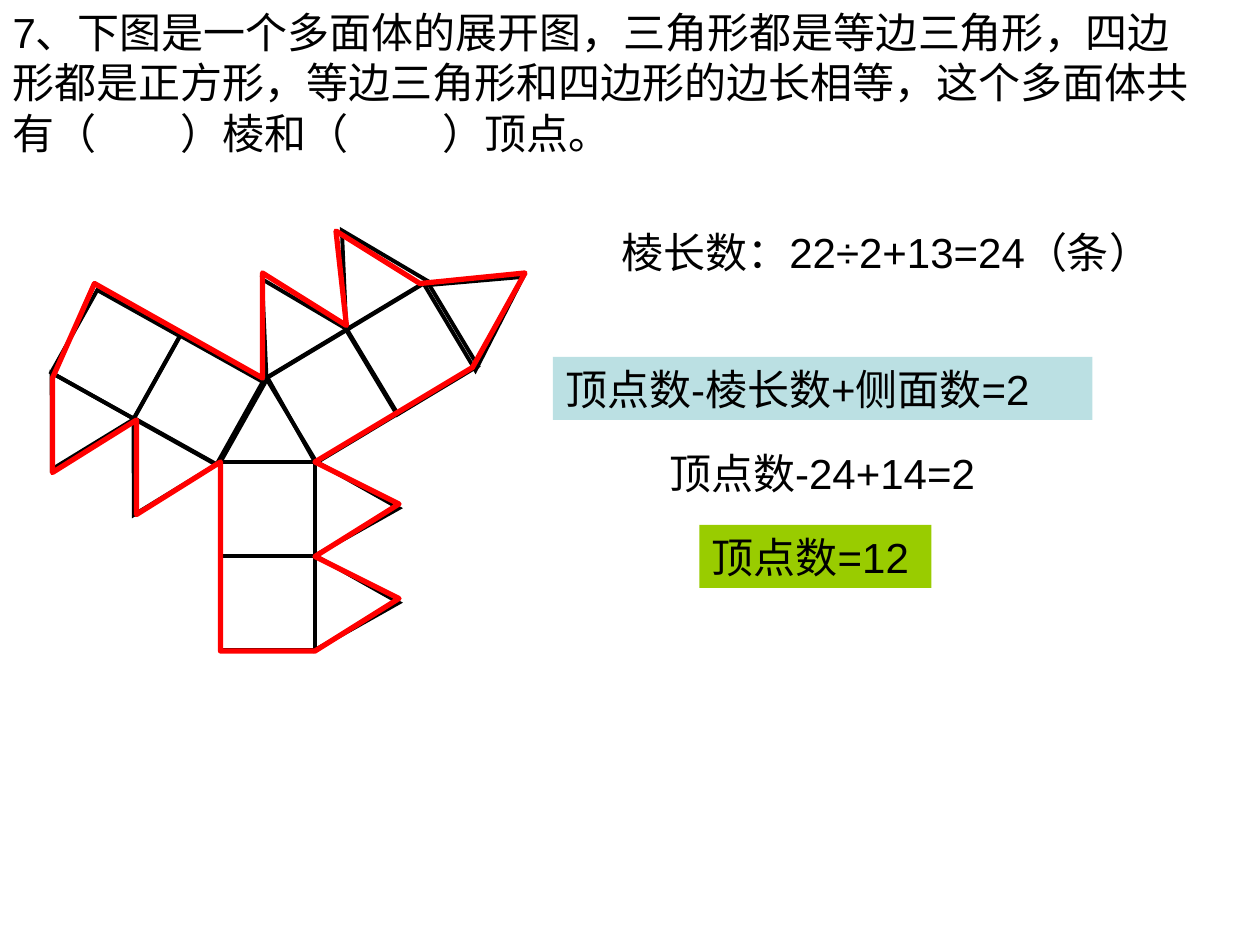
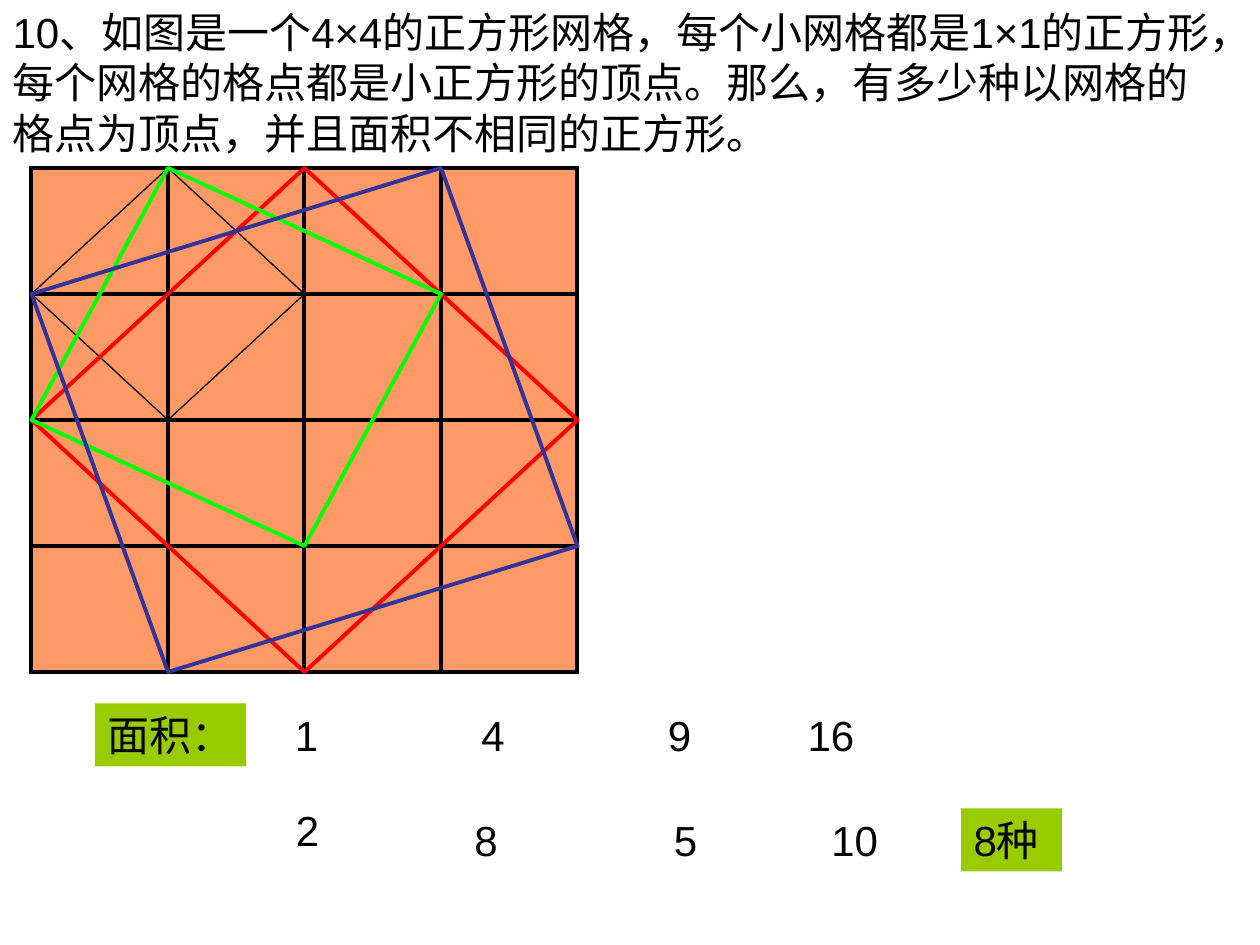
from typing import NamedTuple

import pptx
import pptx.dml.color
import pptx.enum.shapes
import pptx.enum.text
import pptx.oxml
import pptx.oxml.ns
import pptx.util
from lxml import etree

HUES = {
    "ink": "000000", "white": "FFFFFF", "pale": "BBE0E3", "lime": "99CC00",
    "peach": "FF9966", "red": "FF0000", "green": "00FF00", "navy": "333399",
}
FONT, SIZE = "Arial", 24
COLS, ROWS = 120, 90                       # slide grid
WIDE, HIGH = pptx.util.Inches(10), pptx.util.Inches(7.5)
KINDS = pptx.enum.shapes.MSO_SHAPE
BOX, TRI = KINDS.RECTANGLE, KINDS.ISOSCELES_TRIANGLE


class Piece(NamedTuple):
    kind: int
    col: float
    row: float
    turn: float = 0
    wide: float = 9
    high: float = 9


class Label(NamedTuple):
    text: str
    col: float
    row: float
    wide: float
    fill: str = ""
    tabs: tuple = ()


class Loop(NamedTuple):
    hue: str
    width: float
    points: list


NET = [
    Piece(TRI, 29.5, 44.4, 90, high=8),
    Piece(BOX, 21, 43.95),
    Piece(BOX, 21, 52.95),
    Piece(TRI, 29.5, 53.4, 90, high=8),
    Piece(TRI, 10.2, 41.55, 209.2, high=8),
    Piece(BOX, 14.4, 33.6, 119.2),
    Piece(BOX, 6.5, 29.25, 119.2),
    Piece(TRI, 2.4, 37.2, 209.2, high=8),
    Piece(TRI, 21, 36, high=8),
    Piece(TRI, 22.6, 26, 329, high=8.3),
    Piece(BOX, 26.9, 33.2, 239, wide=9.4),
    Piece(BOX, 34.55, 28.65, 239, wide=9.4),
    Piece(TRI, 30.2, 21.35, 329, high=8.3),
    Piece(TRI, 39, 25, 297.1, wide=10, high=8),
]
RIM = Loop("red", 3, [
    (21, 62), (30, 62), (38, 57), (30, 53), (38, 48), (30, 44), (45, 35),
    (50, 26), (40, 27), (32, 22), (33, 31), (25, 26), (25, 36), (9, 27),
    (5, 36), (5, 45), (13, 40), (13, 49), (21, 44)])
STEPS = [
    Label("棱长数：22÷2+13=24（条）", 58, 21, 54.7, "white"),
    Label("顶点数-棱长数+侧面数=2", 52.65, 34, 51.4, "pale"),
    Label("顶点数-24+14=2", 62.55, 42, 32.4, "white"),
    Label("顶点数=12", 66.6, 50, 22.1, "lime"),
]

# The square lattice: first corner and cell size on the slide grid
LEFT, TOP, STEP, RISE, SIDE = 3, 16, 13, 12, 4
SQUARES = [                                # corners counted in lattice cells
    Loop("ink", 0.75, [(1, 0), (2, 1), (1, 2), (0, 1)]),
    Loop("red", 2.25, [(0, 2), (2, 0), (4, 2), (2, 4)]),
    Loop("green", 2.25, [(1, 0), (3, 1), (2, 3), (0, 2)]),
    Loop("navy", 2.25, [(0, 1), (1, 4), (4, 3), (3, 0)]),
]
AREAS = [
    Label("面积：", 9.05, 67, 14.4, "lime"),
    Label("1\t4\t9\t16", 26.9, 67, 55.7, "white", (1.48, 2.96, 4.07)),
    Label("2", 27, 76, 4.6),
    Label("8", 44, 77, 4.6),
    Label("5", 63, 77, 4.6),
    Label("10", 78, 77, 6.8),
    Label("8种", 91.55, 77, 9.6, "lime"),
]


def across(cols: float) -> int:
    return round(WIDE * cols / COLS)


def down(rows: float) -> int:
    return round(HIGH * rows / ROWS)


def hue(name: str) -> pptx.dml.color.RGBColor:
    return pptx.dml.color.RGBColor.from_string(HUES[name])


def paint(shape, fill: str, line: str, width: float) -> None:
    shape.shadow.inherit = False
    if fill:
        shape.fill.solid()
        shape.fill.fore_color.rgb = hue(fill)
    else:
        shape.fill.background()
    shape.line.color.rgb = hue(line)
    shape.line.width = pptx.util.Pt(width)


def write(frame, text: str, tabs: tuple) -> None:
    """Fill a frame with one paragraph; tab stops are in inches."""
    frame.text = text
    frame.margin_right = pptx.util.Inches(0.05)
    para = frame.paragraphs[0]
    para.alignment = pptx.enum.text.PP_ALIGN.LEFT
    if tabs:
        stops = etree.SubElement(para._p.get_or_add_pPr(),
                                 pptx.oxml.ns.qn("a:tabLst"))
        for stop in tabs:
            etree.SubElement(stops, pptx.oxml.ns.qn("a:tab"),
                             pos=str(int(pptx.util.Inches(stop))), algn="l")
    para.font.name = FONT
    para.font.size = pptx.util.Pt(SIZE)
    para.font.color.rgb = hue("ink")


def add_page(deck, text: str, wide: float, tabs: tuple = ()):
    page = deck.slides.add_slide(deck.slide_layouts.get_by_name("Title Only"))
    title = page.shapes.title
    title.left, title.top = 0, 0
    title.width, title.height = across(wide), down(15.6)
    frame = title.text_frame
    frame.vertical_anchor = pptx.enum.text.MSO_ANCHOR.TOP
    frame.auto_size = pptx.enum.text.MSO_AUTO_SIZE.NONE
    write(frame, text, tabs)
    return page


def add_label(page, label: Label) -> None:
    box = page.shapes.add_textbox(across(label.col), down(label.row),
                                  across(label.wide), down(6))
    if label.fill:
        box.fill.solid()
        box.fill.fore_color.rgb = hue(label.fill)
    frame = box.text_frame
    frame.word_wrap = bool(label.tabs)
    frame.auto_size = pptx.enum.text.MSO_AUTO_SIZE.SHAPE_TO_FIT_TEXT
    write(frame, label.text, label.tabs)


def add_piece(group, piece: Piece, fill: str = "") -> None:
    """Add a sharp-cornered part of a figure."""
    shape = group.shapes.add_shape(
        piece.kind, across(piece.col), down(piece.row),
        across(piece.wide), down(piece.high))
    shape.rotation = piece.turn
    paint(shape, fill, "ink", 2.25)
    line = shape._element.spPr.find(pptx.oxml.ns.qn("a:ln"))
    etree.SubElement(line, pptx.oxml.ns.qn("a:miter"), lim="800000")


def add_loop(page, loop: Loop) -> None:
    first, *rest = [(across(col), down(row)) for col, row in loop.points]
    pen = page.shapes.build_freeform(*first)
    pen.add_line_segments(rest, close=True)
    paint(pen.convert_to_shape(), "", loop.hue, loop.width)


def on_grid(col: int, row: int) -> tuple[int, int]:
    """Turn a lattice corner into slide grid units."""
    return LEFT + STEP * col, TOP + RISE * row


def draw_net(deck) -> None:
    page = add_page(
        deck, "7、下图是一个多面体的展开图，三角形都是等边三角形，四边形都是正方形，"
        "等边三角形和四边形的边长相等，这个多面体共有（\t）棱和（\t）顶点。",
        115.2, (1.33, 3.41))
    group = page.shapes.add_group_shape()
    for piece in NET:
        add_piece(group, piece)
    add_loop(page, RIM)
    for label in STEPS:
        add_label(page, label)


def draw_grid(deck) -> None:
    page = add_page(
        deck, "10、如图是一个4×4的正方形网格，每个小网格都是1×1的正方形，"
        "每个网格的格点都是小正方形的顶点。那么，有多少种以网格的格点为顶点，"
        "并且面积不相同的正方形。", 117.2)
    group = page.shapes.add_group_shape()
    for row in range(SIDE):
        for col in range(SIDE):
            cell = Piece(BOX, *on_grid(col, row), wide=STEP, high=RISE)
            add_piece(group, cell, "peach")
    for loop in SQUARES:
        add_loop(page, loop._replace(points=[on_grid(*p) for p in loop.points]))
    for label in AREAS:
        add_label(page, label)


def main() -> None:
    deck = pptx.Presentation()
    deck.slide_width, deck.slide_height = WIDE, HIGH
    draw_net(deck)
    draw_grid(deck)
    deck.save("out.pptx")


if __name__ == "__main__":
    main()
